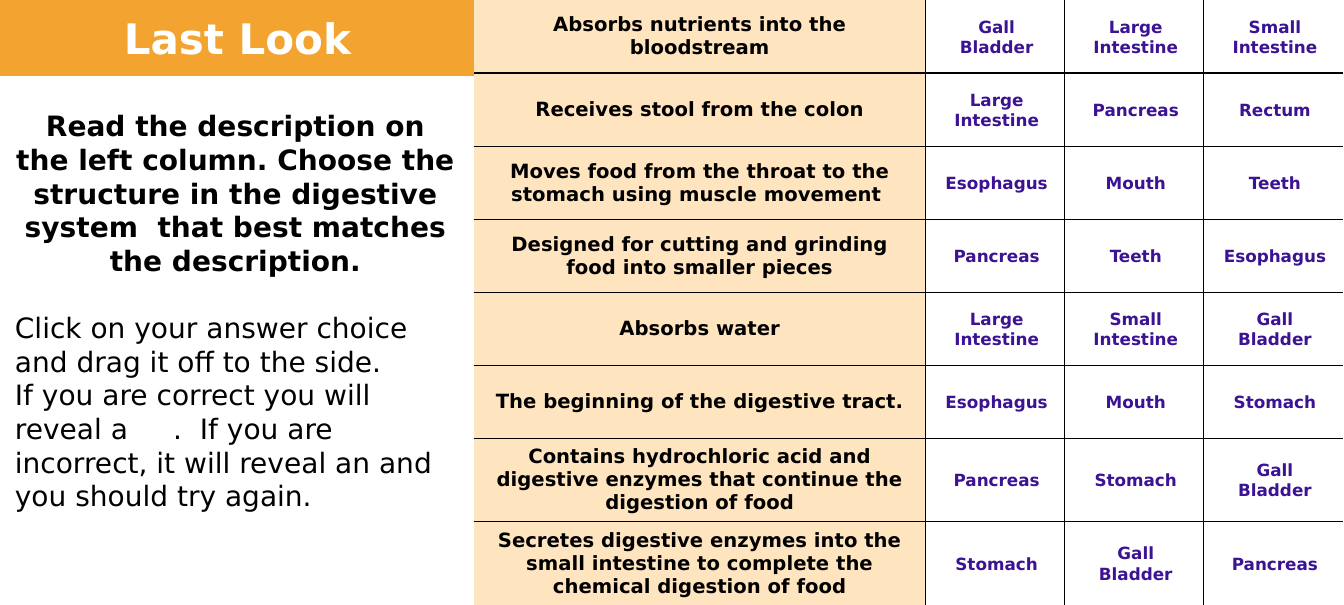
"""Build the "Last Look" digestive system review slide."""
from dataclasses import dataclass

from lxml.etree import SubElement
from pptx import Presentation
from pptx.dml.color import RGBColor
from pptx.enum.shapes import MSO_SHAPE
from pptx.enum.text import MSO_ANCHOR, PP_ALIGN
from pptx.oxml.ns import qn
from pptx.util import Inches, Pt


@dataclass(frozen=True)
class Theme:
    font: str = "DejaVu Sans"
    orange: RGBColor = RGBColor(0xF3, 0xA3, 0x2F)
    peach: RGBColor = RGBColor(0xFF, 0xE5, 0xBF)
    purple: RGBColor = RGBColor(0x3B, 0x13, 0x93)
    white: RGBColor = RGBColor(0xFF, 0xFF, 0xFF)
    black: RGBColor = RGBColor(0, 0, 0)
    title: int = 30
    body: int = 20
    description: int = 14
    answer: int = 12


theme = Theme()


def write(paragraph, text, *, size, color=theme.black, bold=True, align=PP_ALIGN.CENTER, before=0, tab=None):
    paragraph.text = text
    paragraph.alignment = align
    if before:
        paragraph.space_before = Pt(before)
    if tab:
        tabs = SubElement(paragraph._p.get_or_add_pPr(), qn("a:tabLst"))
        SubElement(tabs, qn("a:tab"), pos=str(tab), algn="l")
    for run in paragraph.runs:
        run.font.name = theme.font
        run.font.size = Pt(size)
        run.font.bold = bold
        run.font.color.rgb = color


def add_box(slide, left, top, width, height, fill):
    shape = slide.shapes.add_shape(
        MSO_SHAPE.RECTANGLE, Inches(left), Inches(top), Inches(width), Inches(height))
    shape.shadow.inherit = False
    shape.fill.solid()
    shape.fill.fore_color.rgb = fill
    shape.line.fill.background()
    shape.text_frame.word_wrap = True
    shape.text_frame.vertical_anchor = MSO_ANCHOR.MIDDLE
    return shape


questions = [
    ("Absorbs nutrients into the bloodstream", "Gall Bladder", "Large Intestine", "Small Intestine"),
    ("Receives stool from the colon", "Large Intestine", "Pancreas", "Rectum"),
    ("Moves food from the throat to the stomach using muscle movement ", "Esophagus", "Mouth", "Teeth"),
    ("Designed for cutting and grinding food into smaller pieces", "Pancreas", "Teeth", "Esophagus"),
    ("Absorbs water", "Large Intestine", "Small Intestine", "Gall Bladder"),
    ("The beginning of the digestive tract.", "Esophagus", "Mouth", "Stomach"),
    ("Contains hydrochloric acid and digestive enzymes that continue the digestion of food",
     "Pancreas", "Stomach", "Gall Bladder"),
    ("Secretes digestive enzymes into the small intestine to complete the chemical digestion of food",
     "Stomach", "Gall Bladder", "Pancreas"),
]
column_widths = [4.48] + [1.38] * 3
row_heights = [4.35 / 6] * 6 + [1.65 / 2] * 2
table_left = 4.7

presentation = Presentation()
presentation.slide_width = Inches(13.33)
presentation.slide_height = Inches(6)
slide = presentation.slides.add_slide(presentation.slide_layouts[6])

title = add_box(slide, 0, 0, 4.71, 0.75, theme.orange)
title.line.color.rgb = theme.orange
title.line.width = Pt(1)
write(title.text_frame.paragraphs[0], "Last Look", size=theme.title, color=theme.white)

instructions = slide.shapes.add_textbox(Inches(0.05), Inches(1.03), Inches(4.57), Inches(4.14)).text_frame
instructions.word_wrap = True
write(instructions.paragraphs[0],
      "Read the description on the left column. Choose the structure in the digestive system  "
      "that best matches the description.", size=theme.body)
write(instructions.add_paragraph(),
      "Click on your answer choice and drag it off to the side.\v"
      "If you are correct you will reveal a\t.  If you are incorrect, it will reveal an "
      "and you should try again.",
      size=theme.body, bold=False, align=PP_ALIGN.LEFT, before=24, tab=Inches(1.57))

table = slide.shapes.add_table(
    len(row_heights), len(column_widths), Inches(table_left), Inches(0),
    Inches(sum(column_widths)), Inches(sum(row_heights))).table
table.first_row = False
table.horz_banding = False
for column, width in zip(table.columns, column_widths):
    column.width = Inches(width)
for row, height in zip(table.rows, row_heights):
    row.height = Inches(height)

last_row, last_column = len(row_heights) - 1, len(column_widths) - 1
for row_index, (description, *answers) in enumerate(questions):
    for column_index in range(len(column_widths)):
        cell = table.cell(row_index, column_index)
        properties = cell._tc.get_or_add_tcPr()
        inner_edges = {"a:lnL": column_index > 0, "a:lnR": column_index < last_column,
                       "a:lnT": row_index > 0, "a:lnB": row_index < last_row}
        for edge, visible in inner_edges.items():
            border = SubElement(properties, qn(edge), w=str(Pt(1)))
            if visible:
                fill = SubElement(border, qn("a:solidFill"))
                SubElement(fill, qn("a:srgbClr"), val=str(theme.black))
            else:
                SubElement(border, qn("a:noFill"))
        cell.fill.solid()
        cell.fill.fore_color.rgb = theme.white if column_index else theme.peach
        cell.vertical_anchor = MSO_ANCHOR.MIDDLE
    write(table.cell(row_index, 0).text_frame.paragraphs[0], description, size=theme.description)

    row_top = sum(row_heights[:row_index])
    for answer_index, answer in enumerate(answers):
        answer_left = table_left + sum(column_widths[:answer_index + 1]) + 0.05
        card = add_box(slide, answer_left, row_top + 0.02, 1.31, row_heights[row_index] - 0.04, theme.white)
        write(card.text_frame.paragraphs[0], answer, size=theme.answer, color=theme.purple)

presentation.save("out.pptx")
